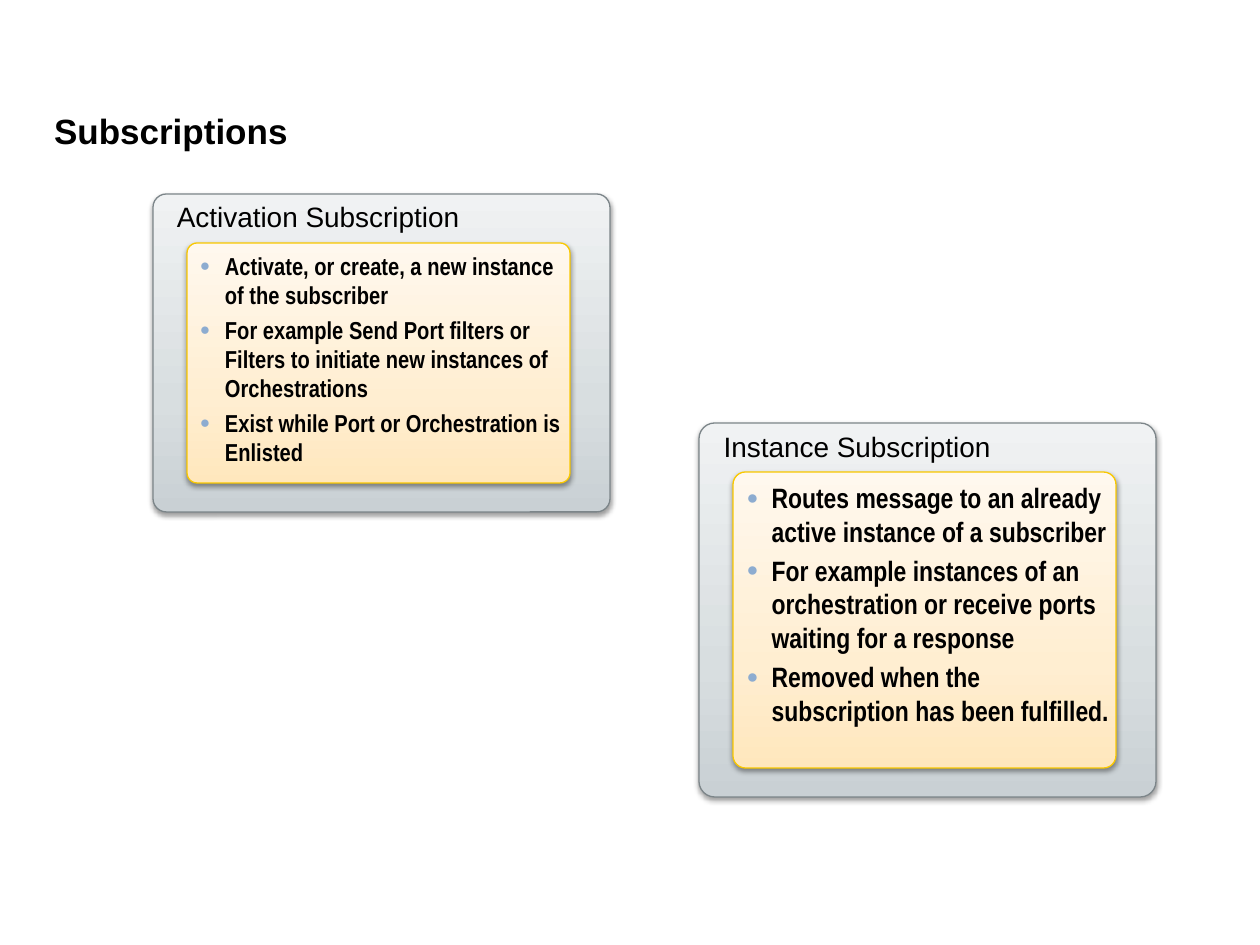
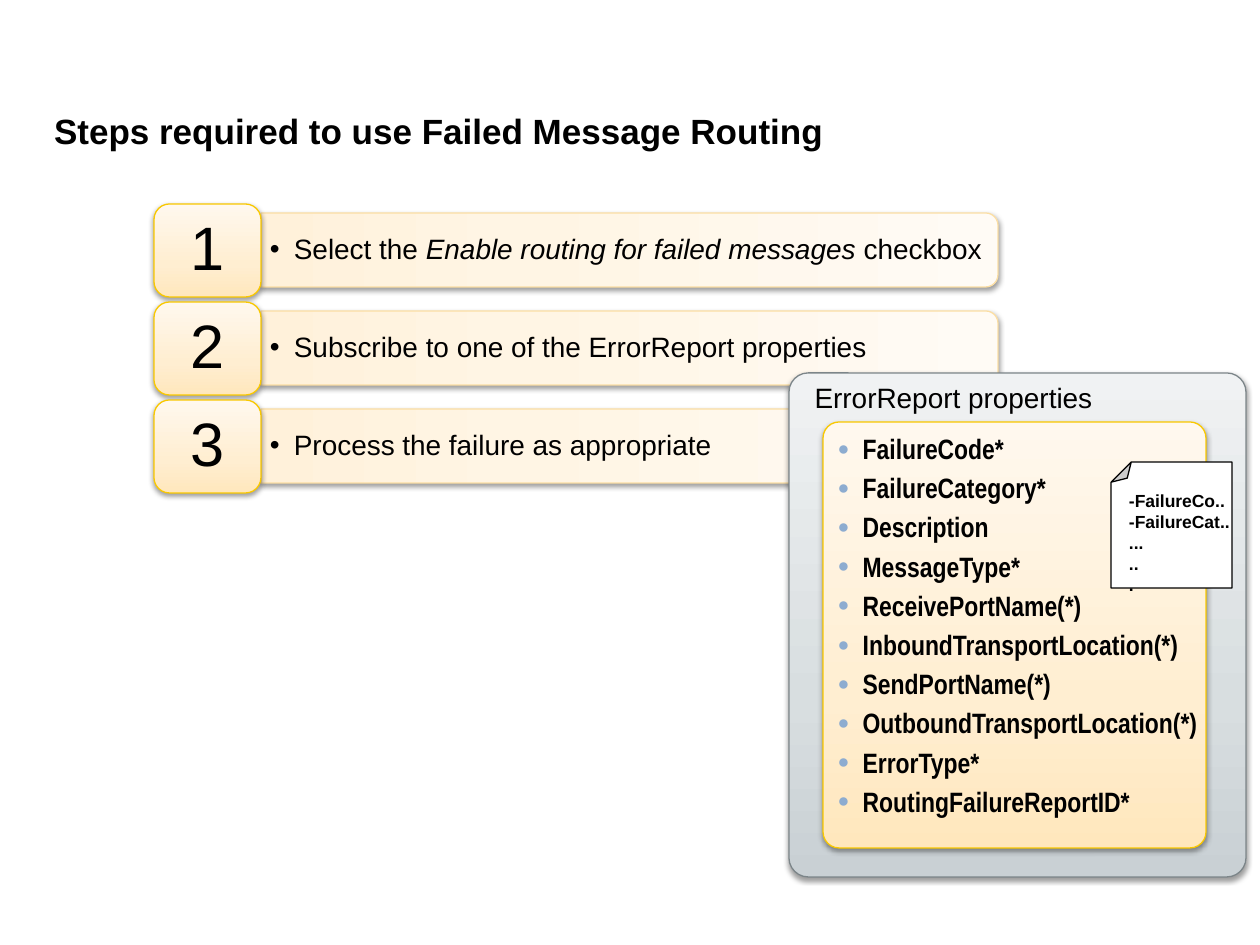
from lxml.etree import SubElement
from pptx import Presentation
from pptx.dml.color import RGBColor
from pptx.enum.shapes import MSO_SHAPE as Shape
from pptx.enum.text import MSO_ANCHOR as Anchor, MSO_AUTO_SIZE as AutoSize, PP_ALIGN as Align
from pptx.oxml.ns import qn
from pptx.util import Emu, Pt

EMU_PER_PX = 914400 / 126
TITLE_ONLY = 5

BLACK = RGBColor(0x00, 0x00, 0x00)
WHITE = RGBColor(0xFF, 0xFF, 0xFF)
GREY_EDGE = RGBColor(0x7C, 0x85, 0x89)
GOLD_EDGE = RGBColor(0xF9, 0xC8, 0x00)
PALE_EDGE = RGBColor(0xFB, 0xDE, 0xA4)
BULLET_BLUE = RGBColor(0x8D, 0xAC, 0xD0)

# Gradient colours run from the bottom of a shape to its top.
GREY = [RGBColor(0xC9, 0xD0, 0xD4), RGBColor(0xD8, 0xDE, 0xE0), RGBColor(0xF0, 0xF2, 0xF3)]
CREAM = [RGBColor(0xFF, 0xE7, 0xBD), RGBColor(0xFF, 0xEE, 0xD1), RGBColor(0xFF, 0xF8, 0xEE)]
PALE = [RGBColor(0xFF, 0xF1, 0xDA), RGBColor(0xFF, 0xF5, 0xE4), RGBColor(0xFF, 0xFB, 0xF5)]
STOPS = [0, 35000, 100000]

TITLE_FONT = {"name": "Arial", "size": Pt(20), "bold": True}
LABEL_FONT = {"name": "Arial", "size": Pt(16)}
NUMBER_FONT = {"name": "Arial", "size": Pt(35)}
NOTE_FONT = {"name": "Arial", "size": Pt(10), "bold": True}
LIST_FONT = {"name": "Arial Narrow", "bold": True}

PANEL_WIDTH, PANEL_ROUNDING = 457, 0.042
LIST_LEFT, LIST_TOP, LIST_WIDTH, LIST_MARGIN = 34, 49, 383, 78
STEP_LEFT, STEP_TOP, STEP_PITCH = 154, 204, 98
TILE_WIDTH, TILE_HEIGHT = 107, 93
BAR_WIDTH, BAR_HEIGHT = 737, 74


def px(length):
    return Emu(round(length * EMU_PER_PX))


def apply(target, values):
    for name, value in values.items():
        setattr(target, name, value)


def add_xml(parent, tag, **attributes):
    return SubElement(parent, qn(tag), {key: str(value) for key, value in attributes.items()})


class Deck:
    def __init__(self):
        self.presentation = Presentation()
        apply(self.presentation, {"slide_width": px(1260), "slide_height": px(945)})
        self.page = None

    def add_page(self, title):
        self.page = self.presentation.slides.add_slide(
            self.presentation.slide_layouts[TITLE_ONLY])
        box = self.page.shapes.title
        apply(box, {"left": px(54), "top": px(106), "width": px(1152), "height": px(49)})
        self.frame(box, [0, 0, 0, 0], Anchor.MIDDLE)
        self.set_text(box.text_frame.paragraphs[0], [title], TITLE_FONT)

    def frame(self, box, margins=(13, 6, 13, 6), anchor=Anchor.TOP, wrap=True):
        """Set margins (left, top, right, bottom), anchor and wrapping."""
        sides = ["margin_left", "margin_top", "margin_right", "margin_bottom"]
        apply(box.text_frame, {"auto_size": AutoSize.NONE, "word_wrap": wrap,
                               "vertical_anchor": anchor})
        apply(box.text_frame, dict(zip(sides, map(px, margins))))

    def set_text(self, para, spans, font, align=Align.LEFT, **layout):
        """Fill a paragraph; every second span is italic."""
        apply(para, {"alignment": align, **layout})
        for index, text in enumerate(spans):
            for number, line in enumerate(text.split("\n")):
                if number:
                    para.add_line_break()
                span = para.add_run()
                span.text = line
                apply(span.font, font)
                span.font.color.rgb = BLACK
                if index % 2:
                    span.font.italic = True

    def bullet(self, para, symbol, indent, color=BLACK, percent=100):
        settings = para._p.get_or_add_pPr()
        settings.set("marL", str(px(indent)))
        settings.set("indent", str(px(-indent)))
        add_xml(add_xml(settings, "a:buClr"), "a:srgbClr", val=color)
        add_xml(settings, "a:buSzPct", val=percent * 1000)
        add_xml(settings, "a:buFont", typeface="Arial")
        add_xml(settings, "a:buChar", char=symbol)

    def shape(self, kind, left, top, width, height, edge):
        box = self.page.shapes.add_shape(kind, px(left), px(top), px(width), px(height))
        box.shadow.inherit = False
        box.line.color.rgb = edge
        box.line.width = Pt(0.75)
        return box

    def raised(self, kind, left, top, width, height, edge, gradient):
        """Add a shape with a three-stop gradient and a soft shadow below it."""
        box = self.shape(kind, left, top, width, height, edge)
        box.fill.gradient()
        box.fill.gradient_angle = 90
        properties = box._element.spPr
        stops = properties.find(f".//{qn('a:gsLst')}")
        stops.clear()
        for position, color in zip(STOPS, gradient):
            add_xml(add_xml(stops, "a:gs", pos=position), "a:srgbClr", val=color)
        shadow = add_xml(properties.find(qn("a:effectLst")), "a:outerShdw",
                         blurRad=Pt(3.1), dist=Pt(1.6), dir=5400000, rotWithShape=0)
        add_xml(add_xml(shadow, "a:srgbClr", val=BLACK), "a:alpha", val=38000)
        return box

    def text_box(self, left, top, width, height):
        return self.page.shapes.add_textbox(px(left), px(top), px(width), px(height))

    def panel(self, left, top, height, heading, items, size=16):
        """Add a grey panel with a heading around a cream bullet list."""
        panel = self.raised(Shape.ROUNDED_RECTANGLE, left, top, PANEL_WIDTH, height,
                            GREY_EDGE, GREY)
        self.frame(panel, margins=(20, 6, 13, 6))
        self.set_text(panel.text_frame.paragraphs[0], [heading], LABEL_FONT, line_spacing=0.9)
        box = self.raised(Shape.ROUNDED_RECTANGLE, left + LIST_LEFT, top + LIST_TOP,
                          LIST_WIDTH, height - LIST_MARGIN, GOLD_EDGE, CREAM)
        self.frame(box, margins=(10, 5, 0, 5))
        for shape in (panel, box):
            shape.adjustments[0] = PANEL_ROUNDING
        for index, item in enumerate(items):
            content = box.text_frame
            para = content.add_paragraph() if index else content.paragraphs[0]
            self.set_text(para, [item], {**LIST_FONT, "size": Pt(size)},
                          space_before=Pt(size * 0.2))
            self.bullet(para, "●", 25, BULLET_BLUE, 70)

    def step(self, number, spans):
        """Add a numbered tile with a bar to its right."""
        top = STEP_TOP + (number - 1) * STEP_PITCH
        middle = top + TILE_HEIGHT // 2
        bar_left = STEP_LEFT + TILE_WIDTH
        bar = self.raised(Shape.ROUND_2_SAME_RECTANGLE,
                          bar_left + (BAR_WIDTH - BAR_HEIGHT) / 2, middle - BAR_WIDTH / 2,
                          BAR_HEIGHT, BAR_WIDTH, PALE_EDGE, PALE)
        bar.rotation = 90
        label = self.text_box(bar_left, middle - 33, BAR_WIDTH - 4, 67)
        self.frame(label, (9, 4, 9, 4), Anchor.MIDDLE)
        para = label.text_frame.paragraphs[0]
        self.set_text(para, spans, LABEL_FONT, line_spacing=0.9)
        self.bullet(para, "•", 24)
        tile = self.raised(Shape.ROUNDED_RECTANGLE, STEP_LEFT, top, TILE_WIDTH, TILE_HEIGHT,
                           GOLD_EDGE, CREAM)
        self.frame(tile, anchor=Anchor.MIDDLE)
        self.set_text(tile.text_frame.paragraphs[0], [str(number)], NUMBER_FONT, Align.CENTER,
                      line_spacing=0.9)

    def note(self, left, top, text):
        """Add a white sheet with a folded top left corner."""
        sheet = self.shape(Shape.FOLDED_CORNER, left, top, 121, 126, BLACK)
        sheet.fill.solid()
        sheet.fill.fore_color.rgb = WHITE
        sheet.rotation = 180
        box = self.text_box(left + 5, top + 22, 127, 140)
        self.frame(box, wrap=False)
        self.set_text(box.text_frame.paragraphs[0], [text], NOTE_FONT)


def main():
    deck = Deck()

    deck.add_page("Subscriptions")
    deck.panel(153, 194, 318, "Activation Subscription", [
        "Activate, or create, a new instance of the subscriber",
        "For example Send Port filters or\nFilters to initiate new instances of Orchestrations",
        "Exist while Port or Orchestration is Enlisted",
    ], size=14)
    deck.panel(699, 423, 374, "Instance Subscription", [
        "Routes message to an already active instance of a subscriber",
        "For example instances of an orchestration or receive ports waiting for a response",
        "Removed when the subscription has been fulfilled.",
    ])

    deck.add_page("Steps required to use Failed Message Routing")
    steps = [
        ["Select the ", "Enable routing for failed messages ", "checkbox"],
        ["Subscribe to one of the ErrorReport properties"],
        ["Process the failure as appropriate"],
    ]
    for number, spans in enumerate(steps, start=1):
        deck.step(number, spans)
    deck.panel(789, 373, 504, "ErrorReport properties", [
        "FailureCode*", "FailureCategory*", "Description", "MessageType*",
        "ReceivePortName(*)", "InboundTransportLocation(*)", "SendPortName(*)",
        "OutboundTransportLocation(*)", "ErrorType*", "RoutingFailureReportID*",
    ])
    deck.note(1111, 462, "-FailureCo..\n-FailureCat..\n...\n..\n.")

    deck.presentation.save("out.pptx")


if __name__ == "__main__":
    main()
